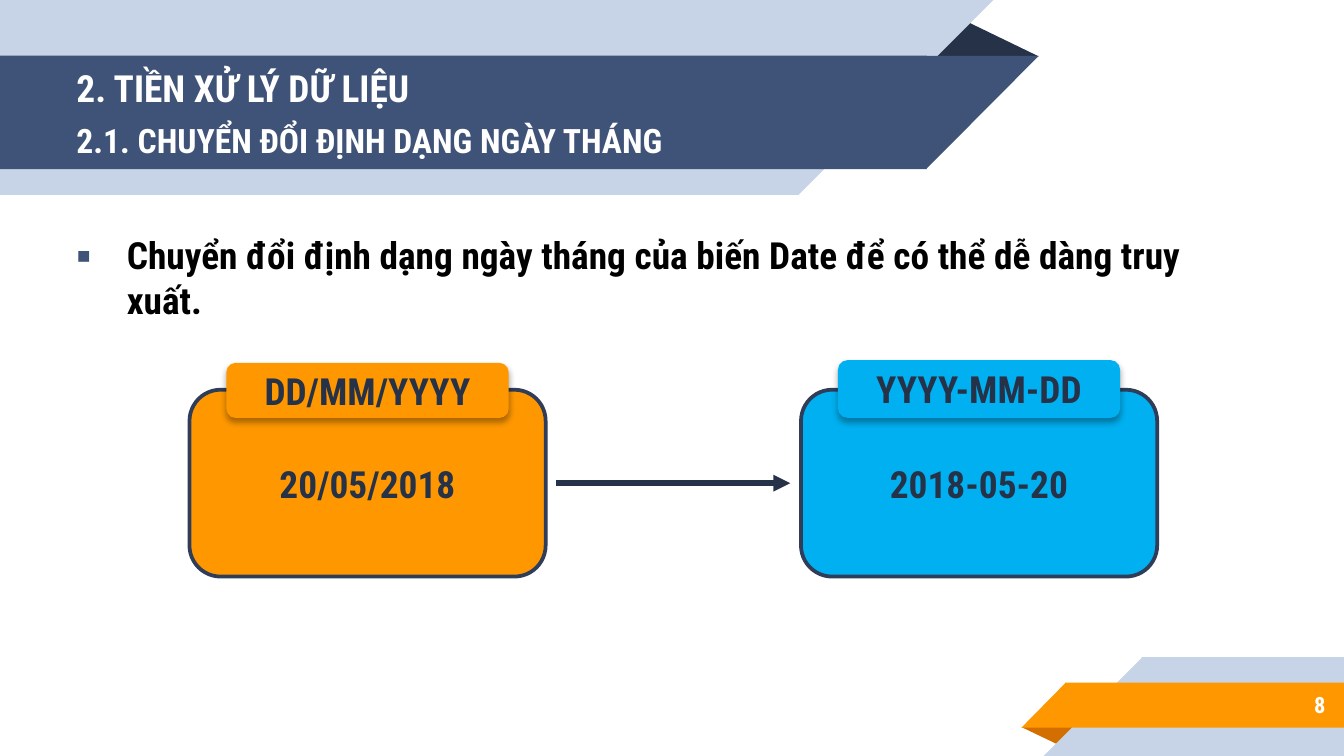
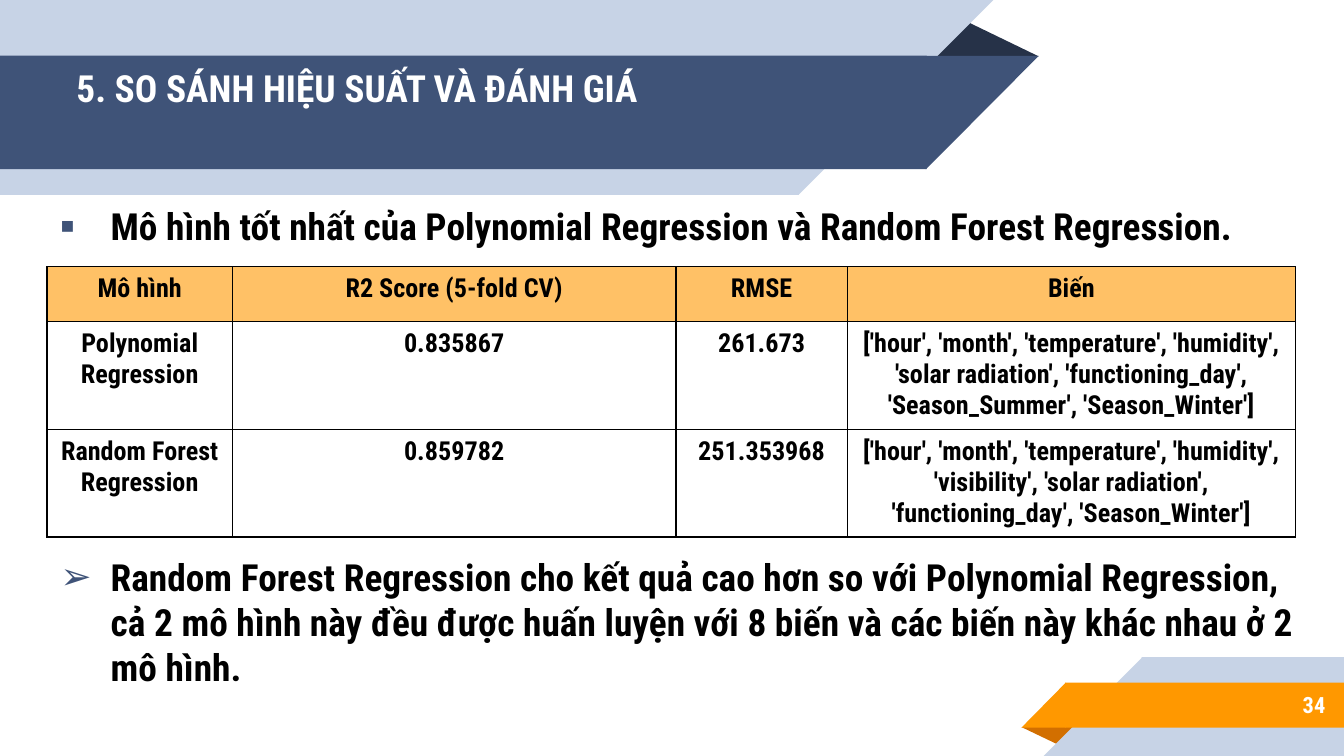
from lxml import etree
from pptx import Presentation
from pptx import util as u
from pptx.dml import color
from pptx.enum import shapes, text
from pptx.oxml import ns


class Theme:
    font = "Roboto Condensed"
    pale = "C7D3E6"
    navy = "3F5378"
    dark = "263248"
    edge = "2F3D59"
    gold = "FF9800"
    rust = "D26F00"
    sand = "FFC166"
    sky = "00B0F0"
    white = "FFFFFF"
    black = "000000"
    head = 20
    sub = 18
    cell = 14
    foot = 12


PX = 4572
kind = shapes.MSO_SHAPE
align = text.PP_ALIGN
rgb = color.RGBColor.from_string


def write(frame, words, size, ink, side=align.LEFT, mark=None):
    frame.word_wrap = True
    para = frame.paragraphs[0]
    para.alignment = side
    if mark:
        props = para._p.get_or_add_pPr()
        props.set("marL", str(75 * PX))
        props.set("indent", str(-75 * PX))
        tint = etree.SubElement(props, ns.qn("a:buClr"))
        etree.SubElement(tint, ns.qn("a:srgbClr"), val=Theme.navy)
        etree.SubElement(props, ns.qn("a:buFont"), typeface=Theme.font)
        etree.SubElement(props, ns.qn("a:buChar"), char=mark)
    run = para.add_run()
    run.text = words
    run.font.name = Theme.font
    run.font.size = u.Pt(size)
    run.font.bold = True
    run.font.color.rgb = rgb(ink)


def draw(slide, form, box, fill):
    shape = slide.shapes.add_shape(form, *[n * PX for n in box])
    shape.shadow.inherit = False
    shape.fill.solid()
    shape.fill.fore_color.rgb = rgb(fill)
    shape.line.fill.background()
    return shape


bands = [
    (kind.ISOSCELES_TRIANGLE, (1520, 1082, 86, 28), Theme.rust, 180, False),
    (kind.RECTANGLE, (1699, 978, 301, 147), Theme.pale, 0, False),
    (kind.RIGHT_TRIANGLE, (1553, 978, 147, 147), Theme.pale, 0, True),
    (kind.RECTANGLE, (1585, 1016, 415, 67), Theme.gold, 0, False),
    (kind.RIGHT_TRIANGLE, (1520, 1016, 66, 67), Theme.gold, 0, True),
    (kind.ISOSCELES_TRIANGLE, (1376, 28, 170, 56), Theme.dark, 0, False),
    (kind.RECTANGLE, (0, 0, 1189, 290), Theme.pale, 0, False),
    (kind.RIGHT_TRIANGLE, (1188, 0, 290, 290), Theme.pale, 180, True),
    (kind.RECTANGLE, (0, 83, 1379, 169), Theme.navy, 0, False),
    (kind.RIGHT_TRIANGLE, (1378, 83, 168, 169), Theme.navy, 180, True),
]

pages = [
    ("2. TIỀN XỬ LÝ DỮ LIỆU", "2.1. CHUYỂN ĐỔI ĐỊNH DẠNG NGÀY THÁNG", "8", [
        ("▪", (94, 336, 1768, 154),
         "Chuyển đổi định dạng ngày tháng của biến Date để có thể dễ dàng truy xuất."),
    ]),
    ("5. SO SÁNH HIỆU SUẤT VÀ ĐÁNH GIÁ", None, "34", [
        ("▪", (70, 292, 1968, 88),
         "Mô hình tốt nhất của Polynomial Regression và Random Forest Regression."),
        ("➢", (70, 815, 1896, 222),
         "Random Forest Regression cho kết quả cao hơn so với Polynomial Regression, "
         "cả 2 mô hình này đều được huấn luyện với 8 biến và các biến này khác nhau "
         "ở 2 mô hình."),
    ]),
]

deck = Presentation()
deck.slide_width = 2000 * PX
deck.slide_height = 1125 * PX

for title, sub, page, points in pages:
    slide = deck.slides.add_slide(deck.slide_layouts[6])
    for form, box, fill, turn, flip in bands:
        shape = draw(slide, form, box, fill)
        shape.rotation = turn
        if form == kind.ISOSCELES_TRIANGLE:
            shape.adjustments[0] = 0.32
        if flip:
            shape._element.spPr.find(ns.qn("a:xfrm")).set("flipH", "1")
    labels = [
        (title, (94, 80, 1224, 100), Theme.head, align.LEFT),
        (page, (1666, 1014, 326, 70), Theme.foot, align.RIGHT),
    ]
    if sub:
        labels.append((sub, (94, 158, 1202, 100), Theme.sub, align.LEFT))
    for words, box, size, side in labels:
        frame = slide.shapes.add_textbox(*[n * PX for n in box]).text_frame
        frame.vertical_anchor = text.MSO_ANCHOR.MIDDLE
        frame.margin_top = frame.margin_bottom = 20 * PX
        frame.margin_left = frame.margin_right = 20 * PX
        write(frame, words, size, Theme.white, side)
    for mark, box, words in points:
        frame = slide.shapes.add_textbox(*[n * PX for n in box]).text_frame
        frame.auto_size = text.MSO_AUTO_SIZE.SHAPE_TO_FIT_TEXT
        write(frame, words, Theme.head, Theme.black, mark=mark)

dates, scores = deck.slides

cards = [
    (282, (337, 540, 420, 82), Theme.gold, "DD/MM/YYYY", "20/05/2018"),
    (1192, (1247, 536, 420, 86), Theme.sky, "YYYY-MM-DD", "2018-05-20"),
]
for left, tab, fill, form, date in cards:
    card = draw(dates, kind.ROUNDED_RECTANGLE, (left, 580, 530, 278), fill)
    card.line.color.rgb = rgb(Theme.edge)
    card.line.width = u.Pt(2)
    write(card.text_frame, date, Theme.head, Theme.dark, align.CENTER)
    card.text_frame.vertical_anchor = text.MSO_ANCHOR.MIDDLE

arrow = dates.shapes.add_connector(
    shapes.MSO_CONNECTOR.STRAIGHT, 828 * PX, 719 * PX, 1176 * PX, 719 * PX)
arrow.line.color.rgb = rgb(Theme.dark)
arrow.line.width = u.Pt(3)
etree.SubElement(arrow.line._get_or_add_ln(), ns.qn("a:tailEnd"), type="triangle")
etree.SubElement(arrow._element.spPr, ns.qn("a:effectLst"))

for left, tab, fill, form, date in cards:
    label = draw(dates, kind.ROUNDED_RECTANGLE, tab, fill)
    glow = etree.SubElement(
        label._element.spPr.find(ns.qn("a:effectLst")), ns.qn("a:outerShdw"),
        blurRad=str(u.Pt(3.5)), dist=str(u.Pt(2.2)), dir="5400000",
        algn="t", rotWithShape="0")
    tint = etree.SubElement(glow, ns.qn("a:srgbClr"), val=Theme.black)
    etree.SubElement(tint, ns.qn("a:alpha"), val="32000")
    write(label.text_frame, form, Theme.head, Theme.dark, align.CENTER)
    label.text_frame.vertical_anchor = text.MSO_ANCHOR.MIDDLE

rows = [
    ("Mô hình", "R2 Score (5-fold CV)", "RMSE", "Biến"),
    ("Polynomial Regression", "0.835867", "261.673",
     "['hour', 'month', 'temperature', 'humidity', 'solar radiation', "
     "'functioning_day', 'Season_Summer', 'Season_Winter']"),
    ("Random Forest Regression", "0.859782", "251.353968",
     "['hour', 'month', 'temperature', 'humidity', 'visibility', "
     "'solar radiation', 'functioning_day', 'Season_Winter']"),
]
grid = scores.shapes.add_table(
    3, 4, 70 * PX, 397 * PX, 1858 * PX, 402 * PX).table
grid.first_row = grid.horz_banding = False
for col, wide in zip(grid.columns, (276, 660, 255, 667)):
    col.width = wide * PX
for row, high in zip(grid.rows, (82, 160, 160)):
    row.height = high * PX

for r, row in enumerate(rows):
    for c, words in enumerate(row):
        cell = grid.cell(r, c)
        if r == 0:
            cell.fill.solid()
            cell.fill.fore_color.rgb = rgb(Theme.sand)
        else:
            cell.fill.background()
        write(cell.text_frame, words, Theme.cell, Theme.black, align.CENTER)
        props = cell._tc.get_or_add_tcPr()
        for i, side in enumerate("LRTB"):
            line = etree.Element(ns.qn("a:ln" + side), w=str(u.Pt(0.75)))
            fill = etree.SubElement(line, ns.qn("a:solidFill"))
            etree.SubElement(fill, ns.qn("a:srgbClr"), val=Theme.black)
            props.insert(i, line)

deck.save("out.pptx")
